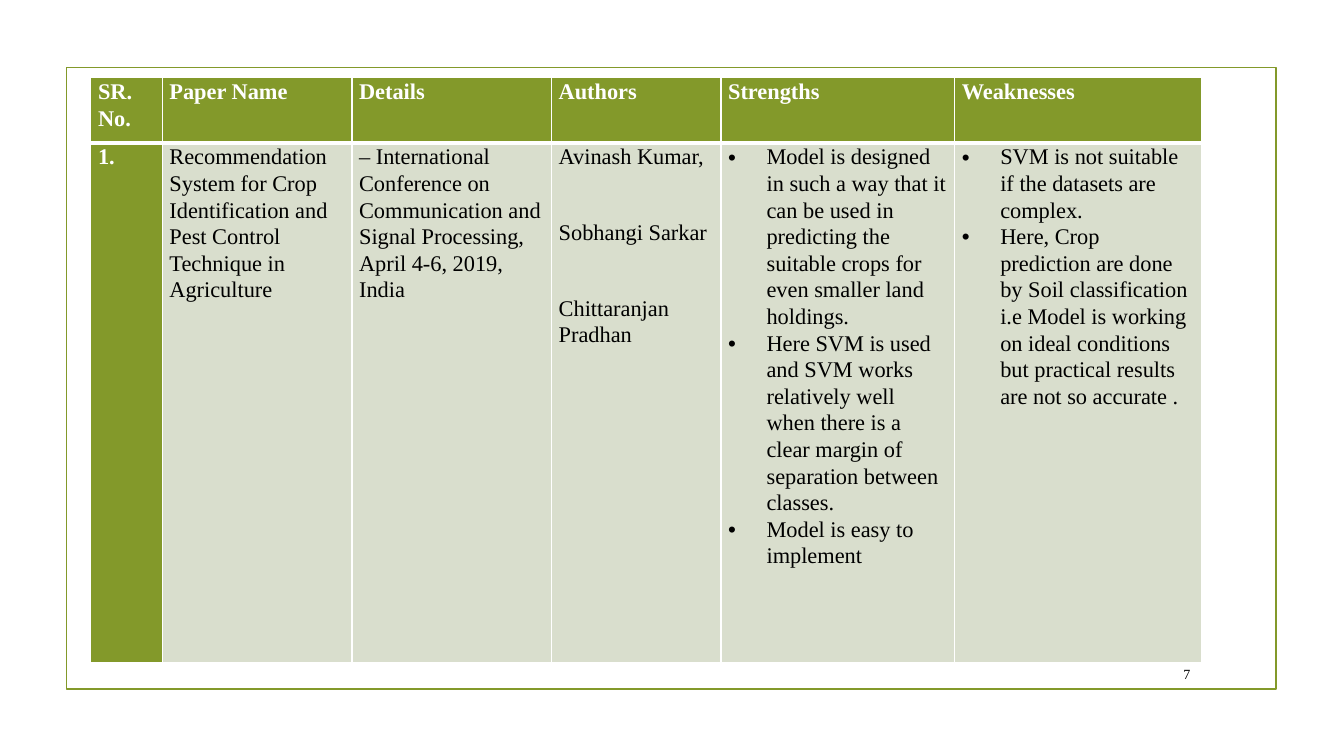
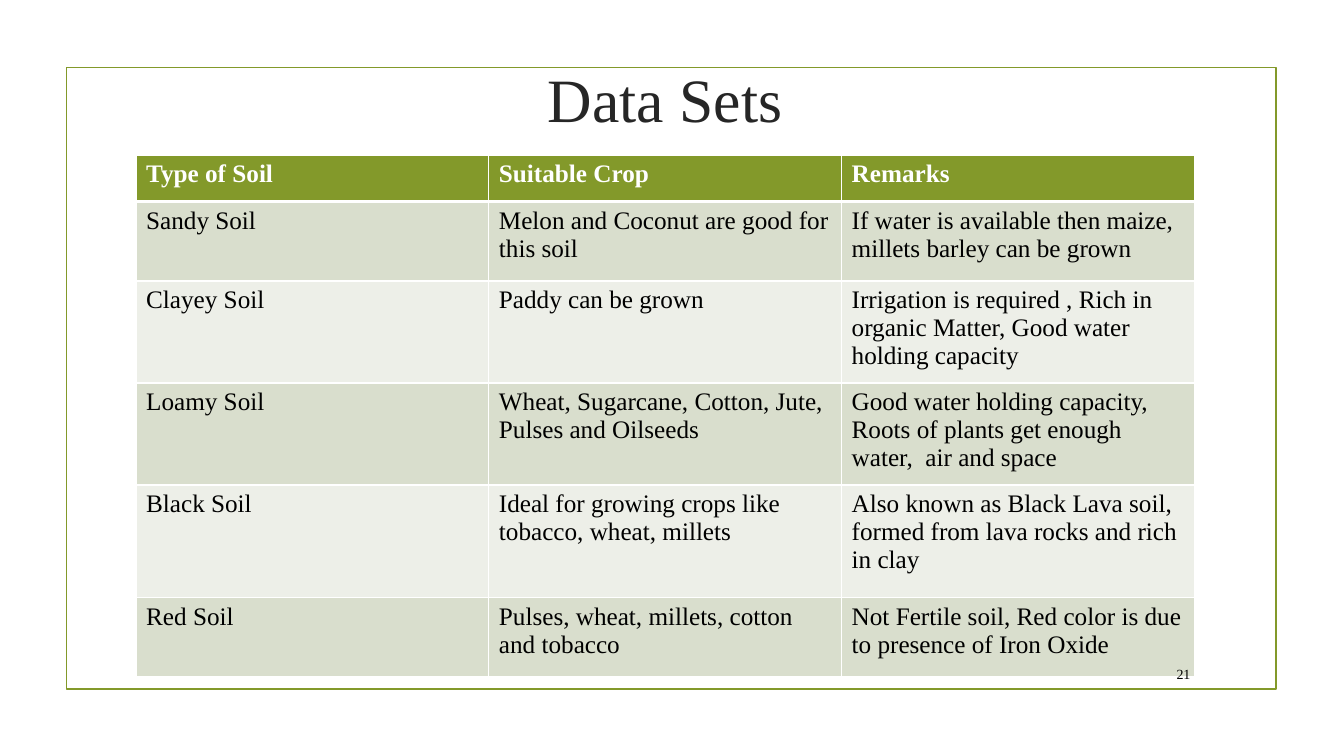
from lxml import etree
from pptx import Presentation
from pptx import util as u
from pptx.dml.color import RGBColor
from pptx.enum import shapes, text
from pptx.oxml import ns

GREEN = RGBColor(0x83, 0x99, 0x2A)
SAGE = RGBColor(0xD9, 0xDE, 0xCD)
PALE = RGBColor(0xED, 0xEF, 0xE8)
WHITE = RGBColor(0xFF, 0xFF, 0xFF)
BLACK = RGBColor(0, 0, 0)
CHARCOAL = RGBColor(0x26, 0x26, 0x26)
FONT = "Times New Roman"
TITLE_ONLY, BLANK = 5, 6

PAPER_BOX = (2.29, 1.96)
PAPER_COLUMNS = [1.8, 4.78, 5.03, 4.27, 5.89, 6.22]
PAPER_ROWS = [1.65, 13.08]
BULLET_COLUMNS = (4, 5)
AUTHOR_COLUMN = 3
PAPERS = [
    ["SR. No.", "Paper Name", "Details", "Authors", "Strengths", "Weaknesses"],
    [
        "1.",
        "Recommendation System for Crop Identification and Pest Control "
        "Technique in Agriculture",
        "– International Conference on Communication and Signal Processing, "
        "April 4-6, 2019, India",
        ["Avinash Kumar,", "Sobhangi Sarkar", "Chittaranjan Pradhan"],
        ["Model is designed in such a way that it can be used in predicting "
         "the suitable crops for even smaller land holdings.",
         "Here SVM is used and SVM works relatively well when there is a "
         "clear margin of separation between classes.",
         "Model is easy to implement"],
        ["SVM is not suitable if the datasets are complex.",
         "Here, Crop prediction are done by Soil classification i.e Model is "
         "working on ideal conditions but practical results are not so "
         "accurate ."],
    ],
]

SOIL_BOX = (3.43, 3.91)
SOIL_COLUMNS = [8.89] * 3
SOIL_ROWS = [1.17, 2, 2.57, 2.57, 2.84, 2]
SOILS = [
    ["Type of Soil", "Suitable Crop", "Remarks"],
    ["Sandy Soil", "Melon and Coconut are good for this soil",
     "If water is available then maize, millets barley can be grown"],
    ["Clayey Soil", "Paddy can be grown",
     "Irrigation is required , Rich in organic Matter, Good water holding "
     "capacity"],
    ["Loamy Soil", "Wheat, Sugarcane, Cotton, Jute, Pulses and Oilseeds",
     "Good water holding capacity, Roots of plants get enough water,  air "
     "and space"],
    ["Black Soil", "Ideal for growing crops like tobacco, wheat, millets",
     "Also known as Black Lava soil, formed from lava rocks and rich in clay"],
    ["Red Soil", "Pulses, wheat, millets, cotton and tobacco",
     "Not Fertile soil, Red color is due to presence of Iron Oxide"],
]


def style_font(para, size, color, bold=False):
    para.font.name = FONT
    para.font.size = u.Pt(size)
    para.font.color.rgb = color
    para.font.bold = bold


def add_bullet(para):
    indent = u.Cm(0.97)
    props = para._p.get_or_add_pPr()
    props.set("marL", str(indent))
    props.set("indent", str(-indent))
    face = etree.SubElement(props, ns.qn("a:buFont"))
    face.set("typeface", "Arial")
    etree.SubElement(props, ns.qn("a:buChar")).set("char", "•")


def set_borders(cell, top, bottom):
    """White cell borders; the fill must come after them in the XML."""
    props = cell._tc.get_or_add_tcPr()
    widths = {"lnL": 1, "lnR": 1, "lnT": top, "lnB": bottom}
    for place, (tag, width) in enumerate(widths.items()):
        line = etree.Element(ns.qn("a:" + tag), w=str(u.Pt(width)))
        fill = etree.SubElement(line, ns.qn("a:solidFill"))
        etree.SubElement(fill, ns.qn("a:srgbClr")).set("val", str(WHITE))
        props.insert(place, line)


def write_cell(cell, content, size, color, bold):
    """Write one paragraph per item and return the paragraphs."""
    items = [content] if isinstance(content, str) else content
    frame = cell.text_frame
    frame.text = "\n".join(items)
    for para in frame.paragraphs:
        style_font(para, size, color, bold)
    return frame.paragraphs


def add_grid(page, origin, columns, heights, rows, size, label_column=False):
    """Table with a green header row and, if asked, a green first column."""
    left, top = origin
    table = page.shapes.add_table(
        len(rows), len(columns), u.Cm(left), u.Cm(top),
        u.Cm(sum(columns)), u.Cm(sum(heights))).table
    table.horz_banding = False
    table.first_col = label_column
    for column, width in zip(table.columns, columns):
        column.width = u.Cm(width)
    for r, (values, height) in enumerate(zip(rows, heights)):
        table.rows[r].height = u.Cm(height)
        for c, content in enumerate(values):
            cell = table.cell(r, c)
            heading = r == 0 or (label_column and c == 0)
            band = SAGE if r % 2 else PALE
            cell.fill.solid()
            cell.fill.fore_color.rgb = GREEN if heading else band
            set_borders(cell, top=3 if r == 1 else 1, bottom=3 if r == 0 else 1)
            write_cell(cell, content, size, WHITE if heading else BLACK, heading)
    return table


def add_frame(page):
    """Green outline shared by all slides."""
    frame = page.shapes.add_shape(
        shapes.MSO_SHAPE.RECTANGLE,
        u.Cm(1.68), u.Cm(1.7), u.Cm(30.48), u.Cm(15.67))
    frame.shadow.inherit = False
    frame.fill.background()
    frame.line.color.rgb = GREEN
    frame.line.width = u.Pt(1.25)


def add_page_number(page, number):
    box = page.shapes.add_textbox(
        u.Cm(28.75), u.Cm(16.59), u.Cm(1.5), u.Cm(0.79))
    box.text_frame.word_wrap = True
    box.text_frame.vertical_anchor = text.MSO_ANCHOR.MIDDLE
    para = box.text_frame.paragraphs[0]
    para.text = str(number)
    para.alignment = text.PP_ALIGN.RIGHT
    style_font(para, 10, BLACK)


def add_title(page, words):
    title = page.shapes.title
    title.left, title.top = u.Cm(3.43), u.Cm(0.64)
    title.width, title.height = u.Cm(26.67), u.Cm(3.63)
    title.text_frame.text = words
    title.text_frame.vertical_anchor = text.MSO_ANCHOR.MIDDLE
    para = title.text_frame.paragraphs[0]
    para.alignment = text.PP_ALIGN.CENTER
    style_font(para, 44, CHARCOAL)


def build_paper_slide(deck):
    page = deck.slides.add_slide(deck.slide_layouts[BLANK])
    add_frame(page)
    table = add_grid(page, PAPER_BOX, PAPER_COLUMNS, PAPER_ROWS, PAPERS, 16,
                     label_column=True)
    # Tight cells, with bullets and wide gaps between authors
    for cell in table.iter_cells():
        cell.margin_left = cell.margin_right = u.Cm(0.18)
        cell.margin_top = cell.margin_bottom = 0
        for para in cell.text_frame.paragraphs:
            para.line_spacing = 1.07
    for c in BULLET_COLUMNS:
        for para in table.cell(1, c).text_frame.paragraphs:
            add_bullet(para)
    for para in table.cell(1, AUTHOR_COLUMN).text_frame.paragraphs[:-1]:
        para.space_after = u.Pt(35)
    add_page_number(page, 7)


def build_soil_slide(deck):
    page = deck.slides.add_slide(deck.slide_layouts[TITLE_ONLY])
    add_frame(page)
    add_title(page, "Data Sets")
    add_grid(page, SOIL_BOX, SOIL_COLUMNS, SOIL_ROWS, SOILS, 18)
    add_page_number(page, 21)


def main():
    deck = Presentation()
    deck.slide_width, deck.slide_height = u.Cm(33.87), u.Cm(19.05)
    build_paper_slide(deck)
    build_soil_slide(deck)
    deck.save("out.pptx")


if __name__ == "__main__":
    main()
